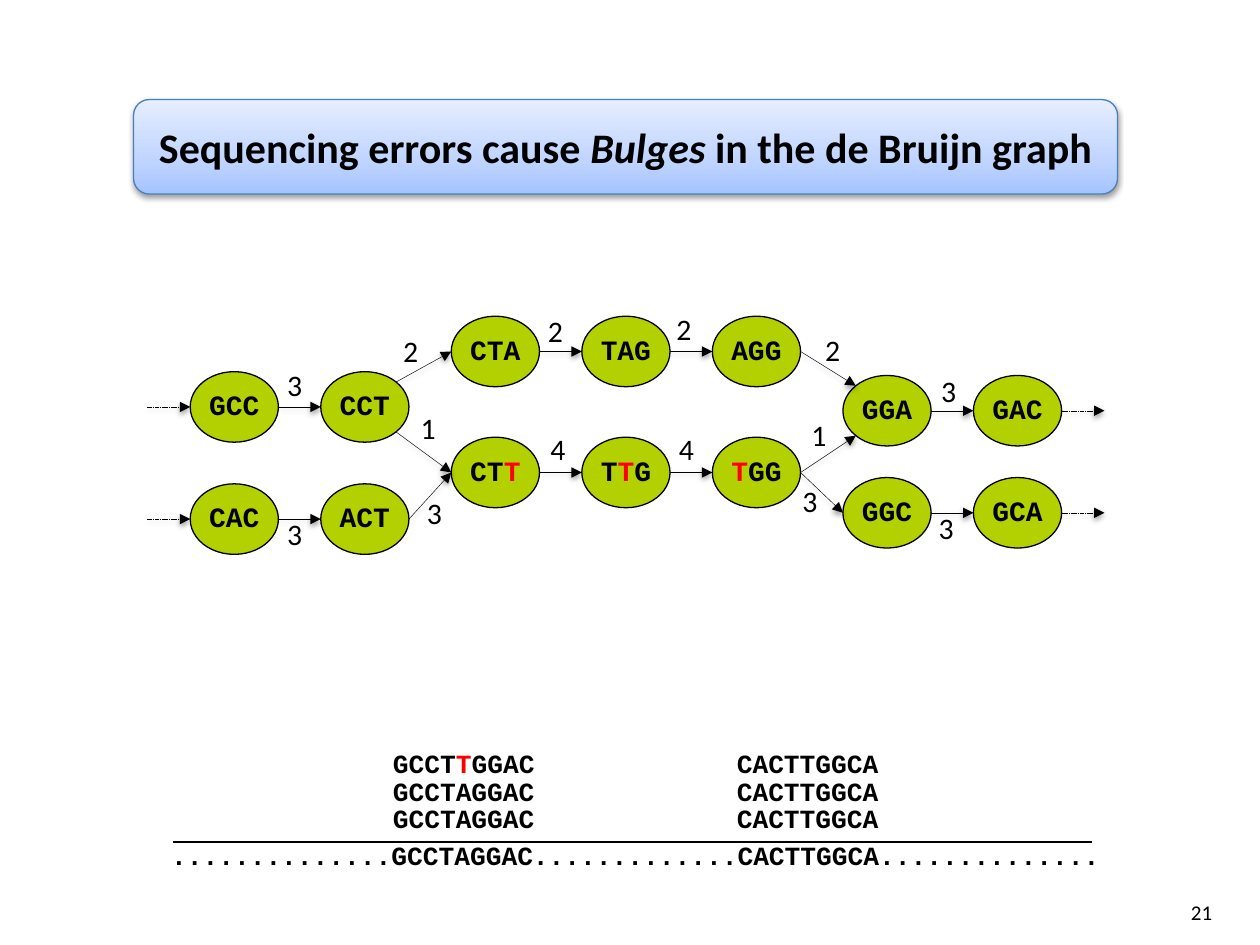
from copy import deepcopy
from dataclasses import dataclass
from math import sqrt

from lxml.etree import SubElement
from pptx import Presentation
from pptx.dml.color import RGBColor
from pptx.enum.dml import MSO_LINE
from pptx.enum.shapes import MSO_CONNECTOR, MSO_SHAPE
from pptx.enum.text import MSO_ANCHOR, PP_ALIGN
from pptx.oxml.ns import qn
from pptx.util import Inches, Pt


@dataclass(frozen=True)
class Theme:
    black: str = "000000"
    red: str = "FF0000"
    node: str = "B3D000"
    title_line: str = "4B7EBC"
    title_stops: tuple = ((0, "A4C4FF"), (0.35, "BFD4FF"), (1, "E6EEFF"))
    sans: str = "Calibri"
    mono: str = "Courier New"
    title_size: int = 24
    node_size: int = 16
    sequence_size: int = 15
    count_size: int = 17
    number_size: int = 12


COLUMNS, ROWS = 100, 75
NODE_WIDTH, NODE_HEIGHT = 7, 5.6
NODE_LEFT, NODE_PITCH = 15.1, 10.36
STUB = 3.4
DIAGONAL = 1 / sqrt(2)
SITES = {
    "left": (-1, 0),
    "right": (1, 0),
    "upper left": (-DIAGONAL, -DIAGONAL),
    "lower left": (-DIAGONAL, DIAGONAL),
    "upper right": (DIAGONAL, -DIAGONAL),
    "lower right": (DIAGONAL, DIAGONAL),
}
LANES = [
    (29.5, 0, ["GCC", "CCT"]),
    (25.1, 2, ["CTA", "TAG", "AGG"]),
    (29.8, 5, ["GGA", "GAC"]),
    (38.4, 0, ["CAC", "ACT"]),
    (34.7, 2, ["CT|T|", "T|T|G", "|T|GG"]),
    (37.9, 5, ["GGC", "GCA"]),
]
BRANCHES = [
    ("CCT", "upper right", "CTA", "left"),
    ("CCT", "lower right", "CT|T|", "left"),
    ("ACT", "right", "CT|T|", "left"),
    ("AGG", "right", "GGA", "upper left"),
    ("|T|GG", "right", "GGA", "lower left"),
    ("|T|GG", "right", "GGC", "left"),
]
COUNTS = [
    ("2", 31, 25.9), ("2", 42.5, 24.3), ("2", 52.7, 24.2), ("2", 64.5, 25.8),
    ("3", 21.8, 28.6), ("1", 32.4, 32), ("4", 42.7, 33.7), ("4", 52.9, 33.7),
    ("1", 63.4, 32.6), ("3", 32.9, 38.8), ("3", 21.8, 40.4), ("3", 62.7, 37.8),
    ("3", 73.5, 40), ("3", 73.7, 29.1),
]
ALIGNED_SEQUENCES = [
    (28.7, ["GCCT|T|GGAC", "GCCTAGGAC", "GCCTAGGAC"]),
    (56, ["CACTTGGCA", "CACTTGGCA", "CACTTGGCA"]),
]


class SlideBuilder:
    def __init__(self, presentation, theme):
        self.theme = theme
        self.slide = presentation.slides.add_slide(presentation.slide_layouts[6])
        self.column = presentation.slide_width / COLUMNS
        self.row = presentation.slide_height / ROWS

    def place(self, left, top, width, height):
        return (round(left * self.column), round(top * self.row),
                round(width * self.column), round(height * self.row))

    def add_runs(self, shape, text, size, font, bold=True, align=PP_ALIGN.CENTER, italic=False):
        shape.text_frame.word_wrap = False
        paragraph = shape.text_frame.paragraphs[0]
        paragraph.alignment = align
        for index, part in enumerate(text.split("|")):
            if not part:
                continue
            emphasized = index % 2 == 1
            run = paragraph.add_run()
            run.text = part
            run.font.size = Pt(size)
            run.font.name = font
            run.font.bold = bold
            run.font.italic = emphasized and italic
            color = self.theme.red if emphasized and not italic else self.theme.black
            run.font.color.rgb = RGBColor.from_string(color)

    def text(self, text, box, size, font, **style):
        shape = self.slide.shapes.add_textbox(*self.place(*box))
        self.add_runs(shape, text, size, font, **style)
        return shape

    def shape(self, preset, box, line_color):
        shape = self.slide.shapes.add_shape(preset, *self.place(*box))
        shape.shadow.inherit = False
        shape.line.color.rgb = RGBColor.from_string(line_color)
        shape.line.width = Pt(0.75)
        return shape

    def cast_shadow(self, effects):
        shadow = SubElement(effects, qn("a:outerShdw"), blurRad="40000", dist="20000",
                            dir="5400000", rotWithShape="0")
        color = SubElement(shadow, qn("a:srgbClr"), val=self.theme.black)
        SubElement(color, qn("a:alpha"), val="38000")

    def title(self, text, box):
        shape = self.shape(MSO_SHAPE.ROUNDED_RECTANGLE, box, self.theme.title_line)
        shape.fill.gradient()
        shape.fill.gradient_angle = 90
        stop_list = shape._element.spPr.find(qn("a:gradFill")).find(qn("a:gsLst"))
        stop_list.insert(1, deepcopy(stop_list[0]))
        for stop, (position, color) in zip(shape.fill.gradient_stops, self.theme.title_stops):
            stop.position = position
            stop.color.rgb = RGBColor.from_string(color)
        self.cast_shadow(shape._element.spPr.find(qn("a:effectLst")))
        shape.text_frame.vertical_anchor = MSO_ANCHOR.MIDDLE
        self.add_runs(shape, text, self.theme.title_size, self.theme.sans, italic=True)

    def node(self, text, left, top):
        shape = self.shape(MSO_SHAPE.OVAL, (left, top, NODE_WIDTH, NODE_HEIGHT), self.theme.black)
        shape.fill.solid()
        shape.fill.fore_color.rgb = RGBColor.from_string(self.theme.node)
        frame = shape.text_frame
        frame.vertical_anchor = MSO_ANCHOR.MIDDLE
        frame.margin_left = frame.margin_right = frame.margin_top = 0
        frame.margin_bottom = Inches(0.04)
        self.add_runs(shape, text, self.theme.node_size, self.theme.mono)

    def line(self, start, end, width=1):
        connector = self.slide.shapes.add_connector(
            MSO_CONNECTOR.STRAIGHT, *self.place(*start, *end))
        connector.line.color.rgb = RGBColor.from_string(self.theme.black)
        connector.line.width = Pt(width)
        return connector, SubElement(connector._element.spPr, qn("a:effectLst"))

    def arrow(self, start, end, dashed=False):
        connector, effects = self.line(start, end, 0.25)
        if dashed:
            connector.line.dash_style = MSO_LINE.SQUARE_DOT
        outline = connector._element.spPr.find(qn("a:ln"))
        SubElement(outline, qn("a:tailEnd"), type="triangle")
        self.cast_shadow(effects)

    def count(self, text, left, top):
        shape = self.text(text, (left, top, 2.5, 3.9), self.theme.count_size, self.theme.sans,
                          bold=False, align=PP_ALIGN.LEFT)
        shape.text_frame.margin_right = 0

    def sequence(self, text, left, top, width=16.2, align=PP_ALIGN.CENTER):
        self.text(text, (left, top, width, 3.5), self.theme.sequence_size, self.theme.mono,
                  align=align)

    def page_number(self, text):
        shape = self.text(text, (73.9, 70.4, 23.3, 4), self.theme.number_size, self.theme.sans,
                          bold=False, align=PP_ALIGN.RIGHT)
        shape.text_frame.vertical_anchor = MSO_ANCHOR.MIDDLE


def site(corner, name):
    horizontal, vertical = SITES[name]
    return (corner[0] + NODE_WIDTH / 2 * (1 + horizontal),
            corner[1] + NODE_HEIGHT / 2 * (1 + vertical))


def draw_graph(builder):
    corners = {}
    for top, first, labels in LANES:
        for index, label in enumerate(labels, first):
            corners[label] = (NODE_LEFT + index * NODE_PITCH, top)
            builder.node(label, *corners[label])
        for source, target in zip(labels, labels[1:]):
            builder.arrow(site(corners[source], "right"), site(corners[target], "left"))
    for source, exit_site, target, entry_site in BRANCHES:
        builder.arrow(site(corners[source], exit_site), site(corners[target], entry_site))
    for label in ("GCC", "CAC"):
        column, row = site(corners[label], "left")
        builder.arrow((column - STUB, row), (column, row), dashed=True)
    for label in ("GAC", "GCA"):
        column, row = site(corners[label], "right")
        builder.arrow((column, row), (column + STUB, row), dashed=True)
    for count in COUNTS:
        builder.count(*count)


def draw_sequences(builder):
    builder.line((13.7, 66.8), (86.7, 66.8))
    builder.sequence("..............GCCTAGGAC.............CACTTGGCA..............",
                     12.6, 66.1, width=77.1, align=PP_ALIGN.LEFT)
    for left, sequences in ALIGNED_SEQUENCES:
        for index, sequence in enumerate(sequences):
            builder.sequence(sequence, left, 58.8 + 2.2 * index)


def main():
    presentation = Presentation()
    presentation.slide_width = Inches(10)
    presentation.slide_height = Inches(7.5)
    builder = SlideBuilder(presentation, Theme())
    builder.title("Sequencing errors cause |Bulges| in the de Bruijn graph", (10.6, 7.9, 78.1, 7.5))
    draw_graph(builder)
    draw_sequences(builder)
    builder.page_number("21")
    presentation.save("out.pptx")


if __name__ == "__main__":
    main()
